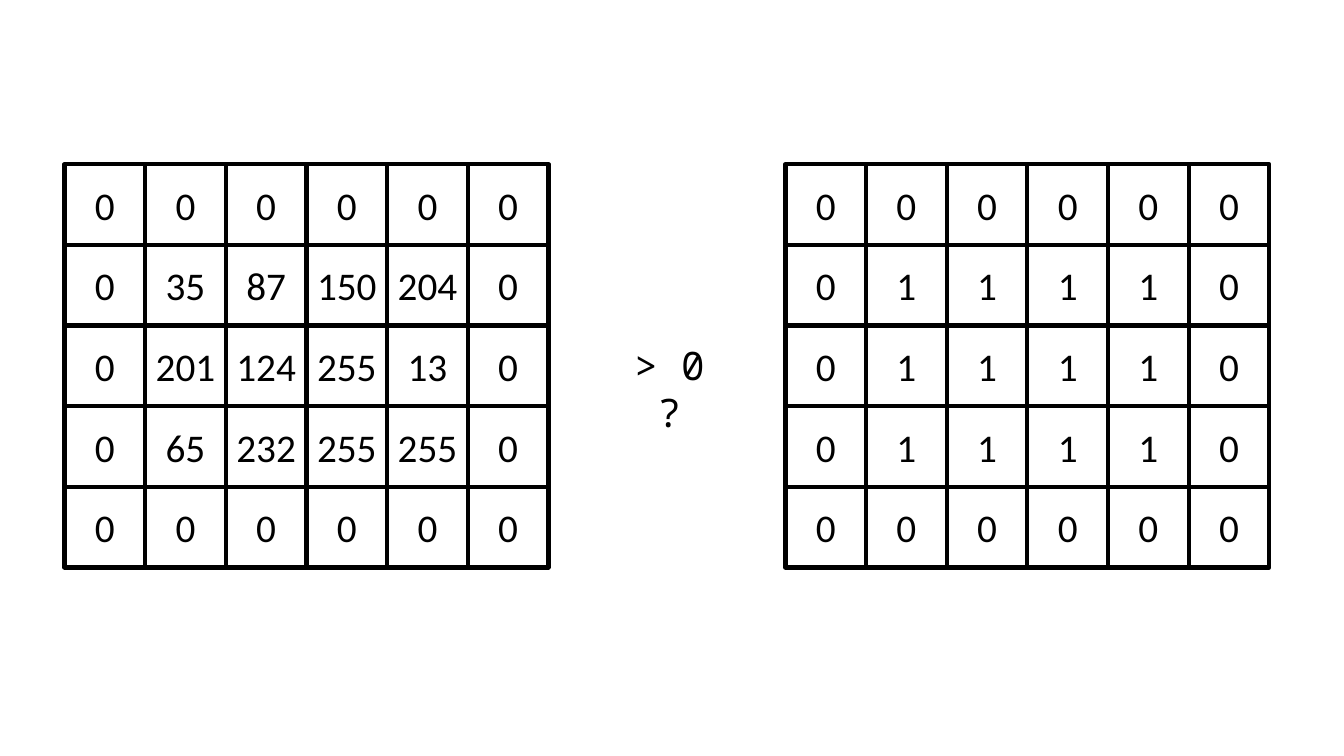
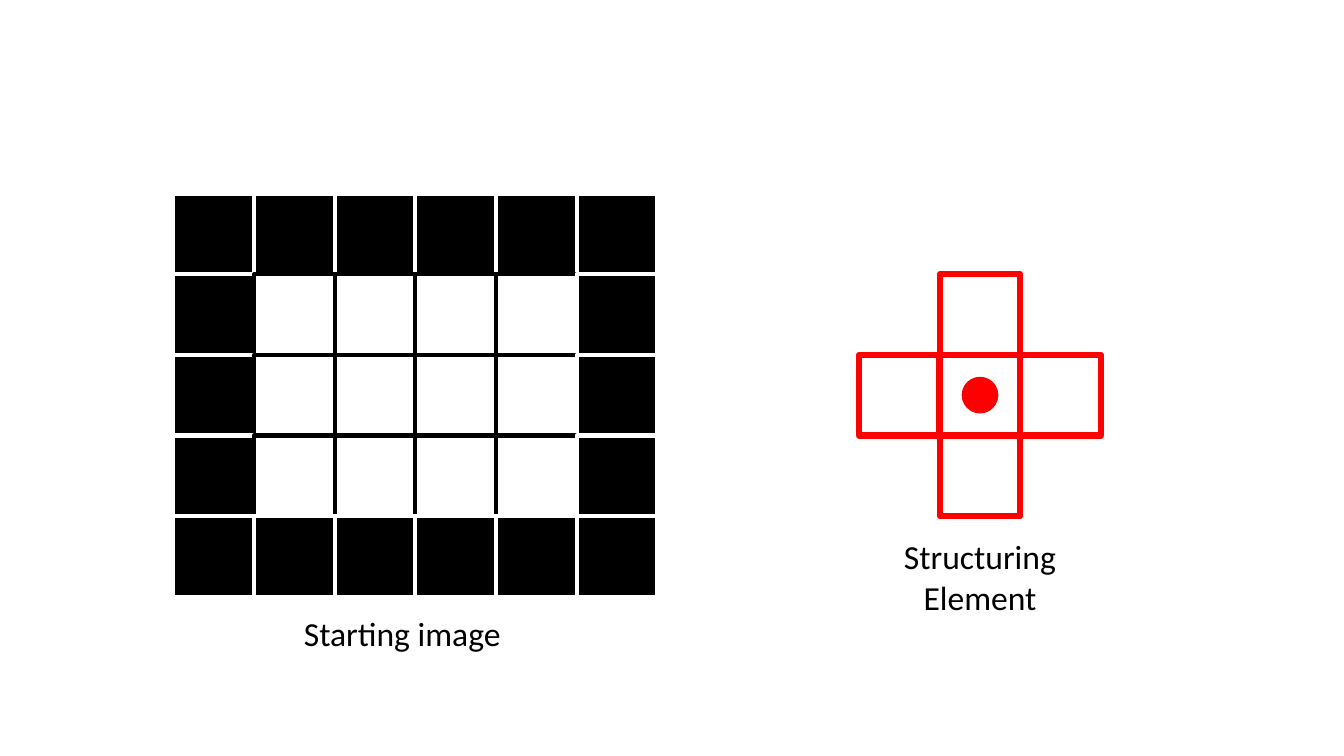
from pptx import Presentation
from pptx import util as u
from pptx.dml import color
from pptx.enum import shapes, text

BLACK, WHITE, RED = "000000", "FFFFFF", "FF0000"
CELL = 0.8
SQUARE = shapes.MSO_SHAPE.RECTANGLE


def write(box, content, size, font="Calibri", anchor="TOP", margin=(0.1, 0.05), wrap=True):
    frame = box.text_frame
    frame.word_wrap = wrap
    frame.vertical_anchor = getattr(text.MSO_ANCHOR, anchor)
    frame.margin_left = frame.margin_right = u.Inches(margin[0])
    frame.margin_top = frame.margin_bottom = u.Inches(margin[1])
    frame.text = content
    for line in frame.paragraphs:
        line.alignment = text.PP_ALIGN.CENTER
        line.font.name = font
        line.font.size = u.Pt(size)
        line.font.color.rgb = color.RGBColor.from_string(BLACK)


def draw(group, left, top, size=CELL, kind=SQUARE, fill=None, line=BLACK, weight=3):
    shape = group.shapes.add_shape(
        kind, u.Inches(left), u.Inches(top), u.Inches(size), u.Inches(size))
    shape.shadow.inherit = False
    if fill:
        shape.fill.solid()
        shape.fill.fore_color.rgb = color.RGBColor.from_string(fill)
    else:
        shape.fill.background()
    shape.line.color.rgb = color.RGBColor.from_string(line)
    shape.line.width = u.Pt(weight)
    return shape


deck = Presentation()
deck.slide_width = u.Inches(13.33)
deck.slide_height = u.Inches(7.5)
blank = deck.slide_layouts[6]

gray_values = [
    [0, 0, 0, 0, 0, 0],
    [0, 35, 87, 150, 204, 0],
    [0, 201, 124, 255, 13, 0],
    [0, 65, 232, 255, 255, 0],
    [0, 0, 0, 0, 0, 0],
]
mask = [[int(value > 0) for value in row] for row in gray_values]

threshold_slide = deck.slides.add_slide(blank)
for grid_left, grid in ((0.64, gray_values), (7.79, mask)):
    pixels = threshold_slide.shapes.add_group_shape()
    for r, row in enumerate(grid):
        for c, value in enumerate(row):
            pixel = draw(pixels, grid_left + c * CELL, 1.63 + r * CELL)
            write(pixel, str(value), 28, anchor="MIDDLE", margin=(0, 0))
question = threshold_slide.shapes.add_textbox(
    u.Inches(6.19), u.Inches(3.34), u.Inches(0.9), u.Inches(1.04))
write(question, "> 0\n?", 28, font="Noto Sans Mono", wrap=False)

morphology_slide = deck.slides.add_slide(blank)
starting_image = morphology_slide.shapes.add_group_shape()
for r, row in enumerate(mask):
    for c, value in enumerate(row):
        fill, line = (WHITE, BLACK) if value else (BLACK, WHITE)
        draw(starting_image, 1.72 + c * CELL, 1.92 + r * CELL, fill=fill, line=line)

for caption, left, top, height in (
    ("Starting image", 2.66, 6.03, 0.91),
    ("Structuring\nElement", 8.39, 5.27, 1.31),
):
    label = morphology_slide.shapes.add_textbox(
        u.Inches(left), u.Inches(top), u.Inches(2.66), u.Inches(height))
    write(label, caption, 24)

structuring_element = morphology_slide.shapes.add_group_shape()
center_left, center_top = 9.32, 3.52
for dx, dy in ((0, -1), (-1, 0), (0, 0), (1, 0), (0, 1)):
    draw(structuring_element, center_left + dx * CELL, center_top + dy * CELL,
         line=RED, weight=4.5)
dot = 0.35
inset = (CELL - dot) / 2
draw(structuring_element, center_left + inset, center_top + inset, size=dot,
     kind=shapes.MSO_SHAPE.OVAL, fill=RED, line=RED, weight=1)

deck.save("out.pptx")
